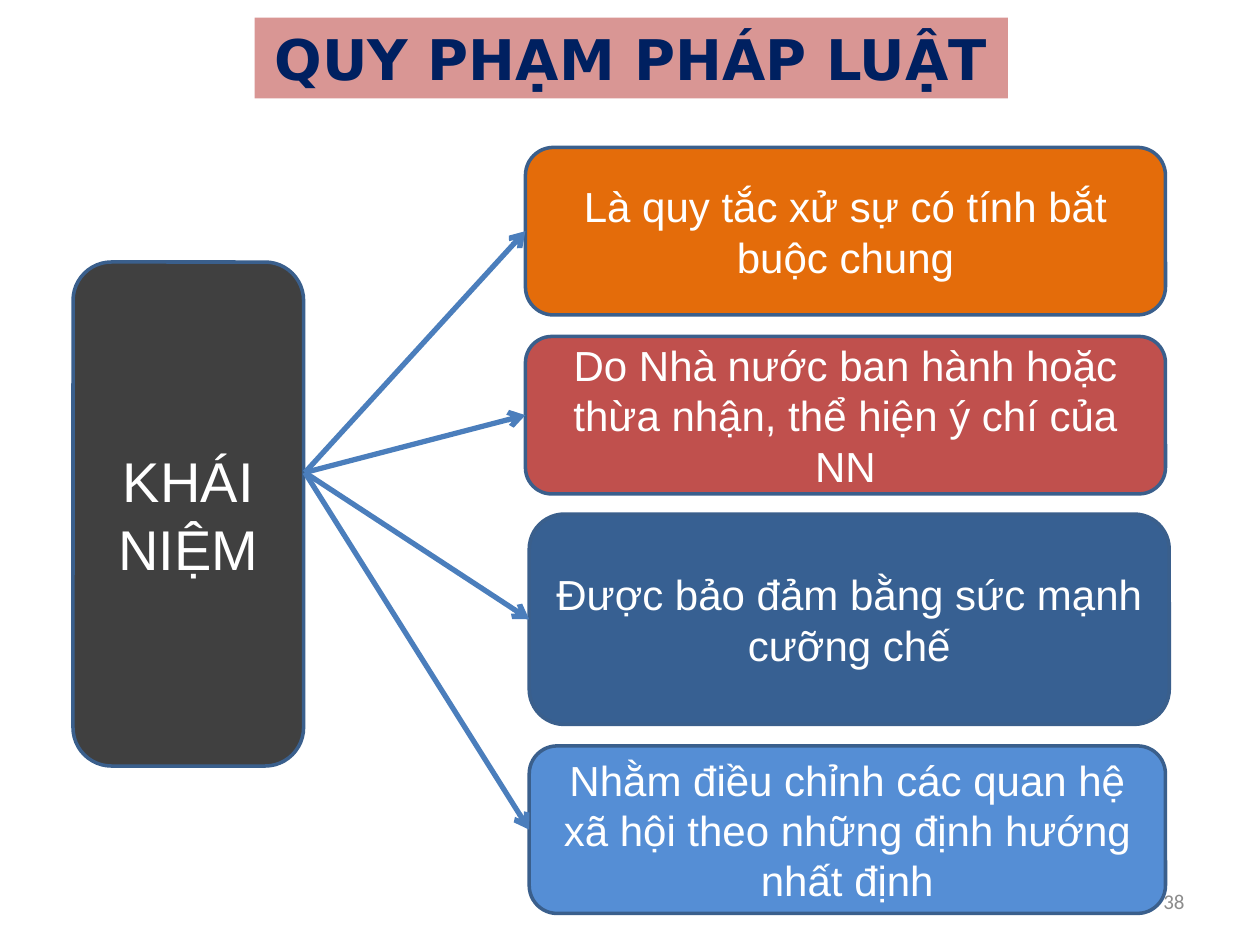
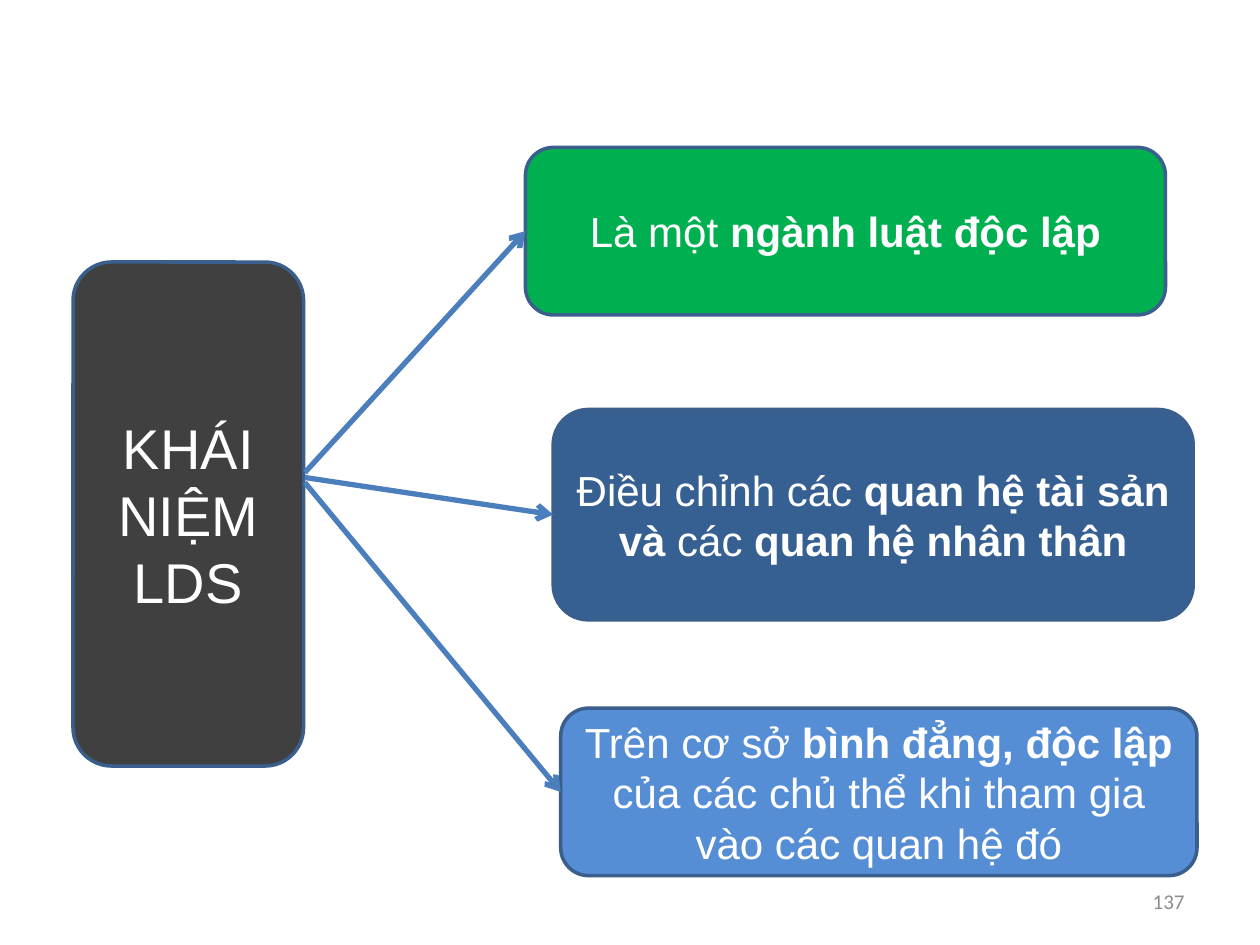
from lxml.etree import SubElement
from pptx import Presentation
from pptx.dml.color import RGBColor
from pptx.enum.shapes import MSO_CONNECTOR, MSO_SHAPE
from pptx.enum.text import MSO_ANCHOR, MSO_AUTO_SIZE, PP_ALIGN
from pptx.oxml.ns import qn
from pptx.util import Inches, Pt

TITLE_ONLY, BLANK = 5, 6
WHITE, NAVY, GREY = "FFFFFF", "002060", "8C8C8C"
CHARCOAL, OUTLINE, ARROW = "404040", "3A5F8C", "4B7EBC"
ORANGE, RED, GREEN = "E46C0A", "C0504D", "00B050"
DEEP_BLUE, LIGHT_BLUE, PINK = "376092", "558ED5", "D99694"

HUB_BOX = (0.58, 2.08, 1.83, 4)
TITLE_BOX = (2.02, 0.14, 5.98, 0.64)
NUMBER_BOX = (7.17, 6.95, 2.33, 0.4)
ARROW_START = (2.42, 3.75)


def color(hex_value):
    return RGBColor.from_string(hex_value)


def inches(lengths):
    return [Inches(length) for length in lengths]


def write(frame, text, size, font_name, font_color, align=PP_ALIGN.CENTER, bold=None):
    """Write one paragraph; parts between asterisks are bold."""
    frame.word_wrap = True
    frame.vertical_anchor = MSO_ANCHOR.MIDDLE
    paragraph = frame.paragraphs[0]
    paragraph.alignment = align
    font = paragraph.font
    font.size, font.name, font.bold = Pt(size), font_name, bold
    font.color.rgb = color(font_color)
    for index, part in enumerate(text.split("*")):
        if part:
            run = paragraph.add_run()
            run.text = part
            if index % 2:
                run.font.bold = True


def add_card(slide, box, fill, text, size=24):
    card = slide.shapes.add_shape(MSO_SHAPE.ROUNDED_RECTANGLE, *inches(box))
    card.shadow.inherit = False
    card.fill.solid()
    card.fill.fore_color.rgb = color(fill)
    card.line.color.rgb = color(OUTLINE)
    card.line.width = Pt(2)
    write(card.text_frame, text, size, "Arial", WHITE)


def add_arrow(slide, start, end):
    arrow = slide.shapes.add_connector(
        MSO_CONNECTOR.STRAIGHT, *inches(start), *inches(end))
    arrow.line.color.rgb = color(ARROW)
    arrow.line.width = Pt(3)
    SubElement(arrow.line._get_or_add_ln(), qn("a:tailEnd"), type="arrow")
    SubElement(arrow._element.spPr, qn("a:effectLst"))


def add_concept_map(slide, concept, features, start_step=0):
    """Link the concept to each feature; arrow starts move down by start_step."""
    add_card(slide, HUB_BOX, CHARCOAL, concept, size=32)
    for box, fill, text in features:
        add_card(slide, box, fill, text)
    start_x, start_y = ARROW_START
    for index, ((left, top, _, height), _, _) in enumerate(features):
        add_arrow(slide, (start_x, start_y + index * start_step),
                  (left, top + height / 2))


def add_page_number(slide, number):
    number_box = slide.shapes.add_textbox(*inches(NUMBER_BOX))
    write(number_box.text_frame, number, 12, "Calibri", GREY, PP_ALIGN.RIGHT)


def set_title(slide, text):
    title = slide.shapes.title
    title.left, title.top, title.width, title.height = inches(TITLE_BOX)
    title.fill.solid()
    title.fill.fore_color.rgb = color(PINK)
    title.text_frame.auto_size = MSO_AUTO_SIZE.NONE
    write(title.text_frame, text, 32, "DejaVu Sans", NAVY, bold=True)


def add_legal_norm_slide(deck):
    slide = deck.slides.add_slide(deck.slide_layouts[TITLE_ONLY])
    set_title(slide, "QUY PHẠM PHÁP LUẬT")
    add_concept_map(slide, "KHÁI NIỆM", [
        ((4.17, 1.17, 5.08, 1.33), ORANGE,
         "Là quy tắc xử sự có tính bắt buộc chung"),
        ((4.17, 2.67, 5.08, 1.25), RED,
         "Do Nhà nước ban hành hoặc thừa nhận, thể hiện ý chí của NN"),
        ((4.2, 4.08, 5.08, 1.67), DEEP_BLUE,
         "Được bảo đảm bằng sức mạnh cưỡng chế"),
        ((4.2, 5.92, 5.05, 1.33), LIGHT_BLUE,
         "Nhằm điều chỉnh các quan hệ xã hội theo những định hướng nhất định"),
    ])
    add_page_number(slide, "38")


def add_civil_law_slide(deck):
    slide = deck.slides.add_slide(deck.slide_layouts[BLANK])
    add_concept_map(slide, "KHÁI NIỆM LDS", [
        ((4.17, 1.17, 5.08, 1.33), GREEN, "Là một *ngành luật độc lập*"),
        ((4.39, 3.25, 5.08, 1.67), DEEP_BLUE,
         "Điều chỉnh các *quan hệ tài sản và *các *quan hệ nhân thân*"),
        ((4.45, 5.62, 5.05, 1.33), LIGHT_BLUE,
         "Trên cơ sở *bình đẳng, độc lập *của các chủ thể khi tham gia "
         "vào các quan hệ đó"),
    ], start_step=0.04)
    add_page_number(slide, "137")


def main():
    deck = Presentation()
    deck.slide_width, deck.slide_height = inches((10, 7.5))
    add_legal_norm_slide(deck)
    add_civil_law_slide(deck)
    deck.save("out.pptx")


if __name__ == "__main__":
    main()
